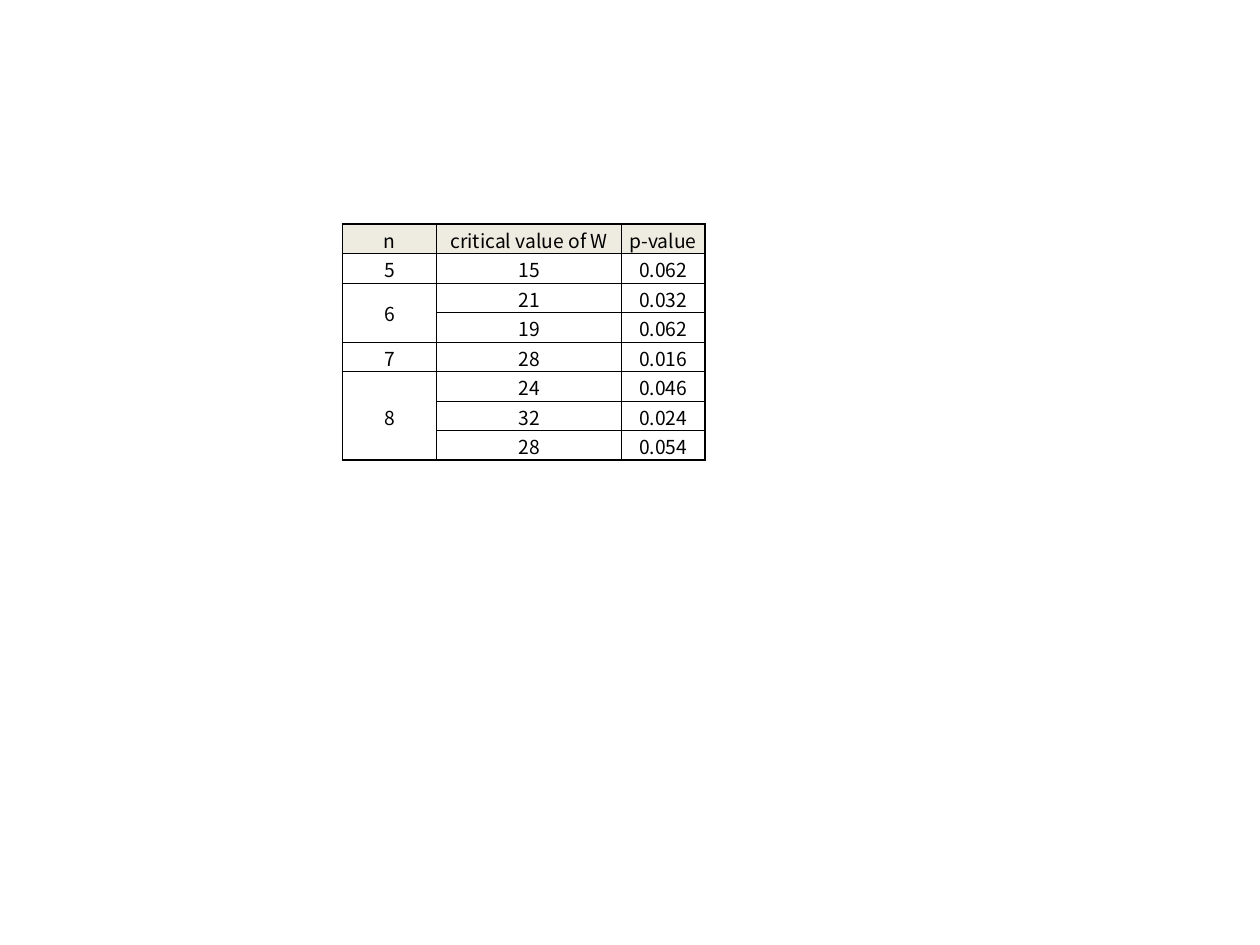
from lxml import etree
from pptx import Presentation
from pptx.dml.color import RGBColor
from pptx.enum import text
from pptx.oxml import ns
from pptx.util import Cm, Pt

# Content: each n with its (critical value, p-value) pairs
HEADER = ("n", "critical value of W", "p-value")
CRITICAL_VALUES = [
    ("5", [("15", "0.062")]),
    ("6", [("21", "0.032"), ("19", "0.062")]),
    ("7", [("28", "0.016")]),
    ("8", [("24", "0.046"), ("32", "0.024"), ("28", "0.054")]),
]

# Format
COLORS = {"text": "000000", "border": "000000", "header": "EEECE1"}
LEFT, TOP, ROW_HEIGHT = 6.9, 4.52, 0.59
COLUMN_WIDTHS = (1.9, 3.73, 1.68)
THICK, THIN = 1, 0.5
TABLE_FORMAT = {"first_row": False, "horz_banding": False}
CELL_FORMAT = {
    "margin_left": Cm(0.03), "margin_right": Cm(0.03),
    "margin_top": Cm(0.03), "margin_bottom": 0,
    "vertical_anchor": text.MSO_ANCHOR.MIDDLE,
}
FONT_FORMAT = {"name": "Noto Sans CJK KR", "size": Pt(11), "bold": False}


def apply_format(target, values):
    for attribute, value in values.items():
        setattr(target, attribute, value)


def add_border(cell, side, width):
    line = etree.SubElement(cell._tc.get_or_add_tcPr(), ns.qn(f"a:ln{side}"),
                            w=str(Pt(width)))
    fill = etree.SubElement(line, ns.qn("a:solidFill"))
    etree.SubElement(fill, ns.qn("a:srgbClr"), val=COLORS["border"])


def format_cell(cell, row, column, last_row, last_column):
    apply_format(cell, CELL_FORMAT)

    # Thick lines frame the table and the header
    bottom = row + (cell.span_height if cell.is_merge_origin else 1) - 1
    thick_sides = {"L": column == 0, "R": column == last_column,
                   "T": row <= 1, "B": bottom in (0, last_row)}
    for side, thick in thick_sides.items():
        add_border(cell, side, THICK if thick else THIN)

    if row == 0:
        cell.fill.solid()
        cell.fill.fore_color.rgb = RGBColor.from_string(COLORS["header"])
    else:
        cell.fill.background()

    paragraph = cell.text_frame.paragraphs[0]
    paragraph.alignment = text.PP_ALIGN.CENTER
    apply_format(paragraph.font, FONT_FORMAT)
    paragraph.font.color.rgb = RGBColor.from_string(COLORS["text"])
    for run in paragraph.runs:
        apply_format(run.font, FONT_FORMAT)
        run.font.color.rgb = RGBColor.from_string(COLORS["text"])


def main():
    presentation = Presentation()
    presentation.slide_width, presentation.slide_height = Cm(25.4), Cm(19.05)
    slide = presentation.slides.add_slide(presentation.slide_layouts[6])

    # Table grid
    rows = [HEADER]
    merges = []
    for n, pairs in CRITICAL_VALUES:
        first = len(rows)
        rows += [(n if i == 0 else "", *pair) for i, pair in enumerate(pairs)]
        if len(pairs) > 1:
            merges.append((first, len(rows) - 1))
    table = slide.shapes.add_table(
        len(rows), len(HEADER), Cm(LEFT), Cm(TOP),
        Cm(sum(COLUMN_WIDTHS)), Cm(ROW_HEIGHT * len(rows))).table
    apply_format(table, TABLE_FORMAT)
    for column, width in zip(table.columns, COLUMN_WIDTHS):
        column.width = Cm(width)
    for row in table.rows:
        row.height = Cm(ROW_HEIGHT)
    for first, last in merges:
        table.cell(first, 0).merge(table.cell(last, 0))

    # Cells
    for r, values in enumerate(rows):
        for c, value in enumerate(values):
            cell = table.cell(r, c)
            if value:
                cell.text = value
            format_cell(cell, r, c, len(rows) - 1, len(HEADER) - 1)

    presentation.save("out.pptx")


if __name__ == "__main__":
    main()
